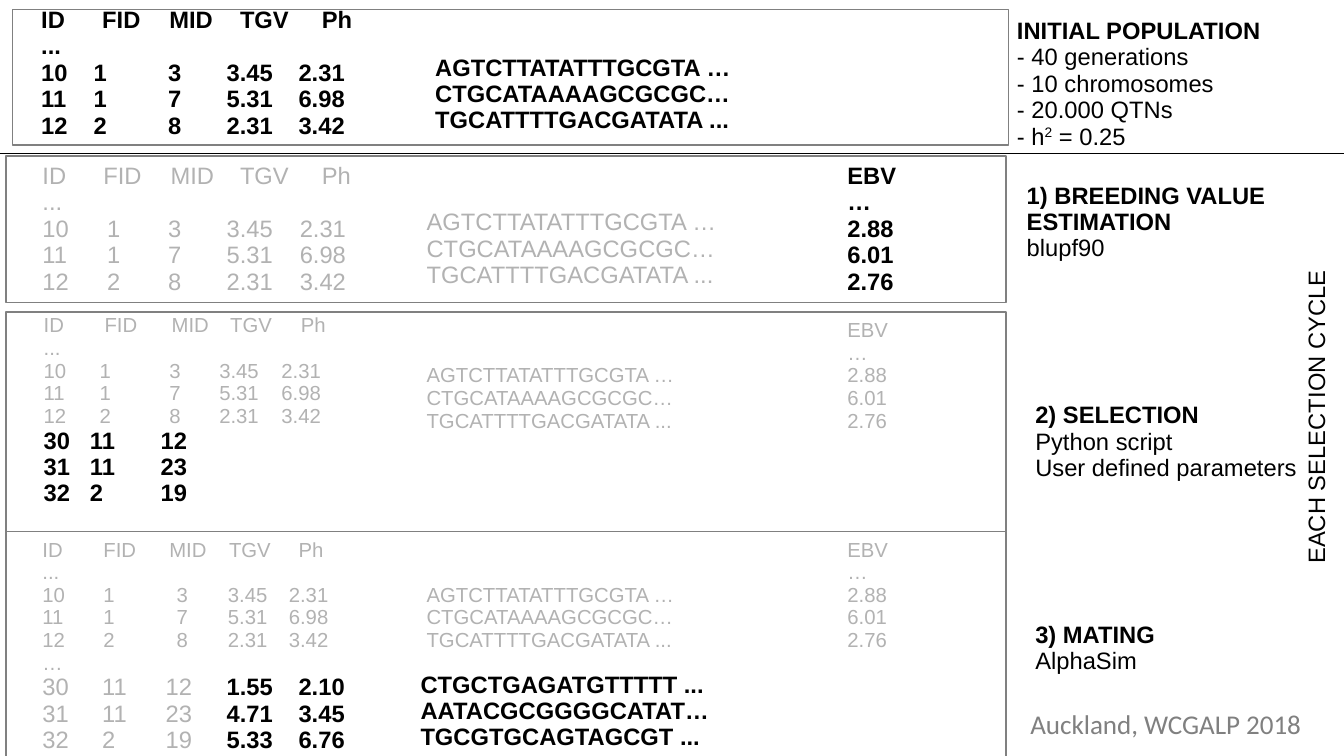
from pptx import Presentation
from pptx.dml.color import RGBColor
from pptx.enum.shapes import MSO_CONNECTOR as Connector, MSO_SHAPE as Shape
from pptx.enum.text import MSO_ANCHOR as Anchor, PP_ALIGN as Align
from pptx.oxml.xmlchemy import OxmlElement as Element
from pptx.util import Inches, Pt


def color(value):
    return RGBColor.from_string(value)


class Board:
    black, pale, gray = "000000", "B2B2B2", "808080"
    font = "Arial"
    spacing = 0.93

    def __init__(self, page):
        self.page = page

    def look(self, size=14, bold=False, ink=black, font=font):
        return {"size": Pt(size), "bold": bold, "name": font, "ink": ink}

    def line(self, text, look, stops=()):
        return [(text, look)], stops

    def lines(self, texts, look, stops=()):
        return [self.line(text, look, stops) for text in texts]

    def text(self, left, top, width, height, lines, inset=0.06, spacing=spacing):
        box = self.page.shapes.add_textbox(*map(Inches, (left, top, width, height)))
        layout = {"word_wrap": True, "margin_left": Inches(0.1), "margin_right": Inches(0.1),
                  "margin_top": Inches(inset), "margin_bottom": Inches(0.05)}
        for name, value in layout.items():
            setattr(box.text_frame, name, value)
        for index, (spans, stops) in enumerate(lines):
            para = box.text_frame.add_paragraph() if index else box.text_frame.paragraphs[0]
            para.line_spacing = spacing
            self.tabs(para, stops)
            for text, look in spans:
                self.span(para, text, look)
        return box

    def span(self, para, text, look):
        span = para.add_run()
        span.text = text
        for name, value in look.items():
            if name == "ink":
                span.font.color.rgb = color(value)
            elif name == "baseline":
                span.font._element.set("baseline", str(value))
            else:
                setattr(span.font, name, value)

    def tabs(self, para, stops):
        if stops:
            tab_list = Element("a:tabLst")
            for stop in stops:
                tab = Element("a:tab")
                tab.set("pos", str(Inches(stop)))
                tab.set("algn", "l")
                tab_list.append(tab)
            para._p.get_or_add_pPr().append(tab_list)

    def frame(self, left, top, width, height):
        frame = self.page.shapes.add_shape(Shape.RECTANGLE, *map(Inches, (left, top, width, height)))
        frame.shadow.inherit = False
        frame.fill.background()
        frame.line.color.rgb = color(self.gray)
        frame.line.width = Pt(0.75)

    def rule(self, top, width):
        rule = self.page.shapes.add_connector(
            Connector.STRAIGHT, *map(Inches, (0, top, width, top)))
        rule.line.color.rgb = color(self.black)
        rule.line.width = Pt(0.75)
        rule._element.spPr.append(Element("a:effectLst"))

    def pedigree(self, left, top, height, look, header_stops, body_stops, extra=()):
        header = self.lines(("ID\tFID\tMID\tTGV\tPh", "..."), look, header_stops)
        body = self.lines(FOUNDERS, look, body_stops)
        self.text(left, top, 3.7, height, [*header, *body, *extra])

    def sequences(self, left, top, texts, look):
        self.text(left, top, 3.2, 0.79, self.lines(texts, look))

    def values(self, top, look):
        self.text(6.85, top, 1, 1, self.lines(("EBV", "…", "2.88", "6.01", "2.76"), look))

    def step(self, left, top, title, details):
        lines = [self.line(title, self.look(bold=True)), *self.lines(details, self.look())]
        self.text(left, top, 2.62, 0.28, lines, 0.07)


FOUNDERS = ("10\t1\t3\t3.45\t2.31", "11\t1\t7\t5.31\t6.98", "12\t2\t8\t2.31\t3.42")
FOUNDER_DNA = ("AGTCTTATATTTGCGTA …", "CTGCATAAAAGCGCGC…", "TGCATTTTGACGATATA ...")
OFFSPRING_DNA = ("CTGCTGAGATGTTTTT ...", "AATACGCGGGGCATAT…", "TGCGTGCAGTAGCGT ...")
OFFSPRING = (("30\t11\t12", "1.55\t2.10"), ("31\t11\t23", "4.71\t3.45"), ("32\t2\t19", "5.33\t6.76"))


def main():
    deck = Presentation()
    deck.slide_width, deck.slide_height = Inches(11.02), Inches(6.2)
    board = Board(deck.slides.add_slide(deck.slide_layouts[6]))
    plain, strong = board.look(), board.look(bold=True)
    faded, small = board.look(ink=board.pale), board.look(12, ink=board.pale)

    footer = board.look(16, ink=board.gray, font="Calibri")
    board.text(8.35, 5.75, 2.6, 0.36, [board.line("Auckland, WCGALP 2018", footer)], 0.05, 1.0)

    board.pedigree(0.24, 0, 1.1, strong, (0.5, 1.05, 1.63, 2.3), (0.43, 1.04, 1.52, 2.11))
    board.sequences(3.47, 0.39, FOUNDER_DNA, strong)
    board.frame(0.1, 0.08, 8.17, 1.11)

    board.pedigree(0.25, 1.28, 1.19, faded, (0.5, 1.05, 1.62, 2.29), (0.53, 1.03, 1.51, 2.11))
    board.sequences(3.4, 1.66, FOUNDER_DNA, faded)
    board.frame(0.05, 1.28, 8.2, 1.2)
    board.values(1.28, strong)
    board.step(8.32, 1.43, "1) BREEDING VALUE ESTIMATION", ["blupf90"])

    selected = board.lines([parents for parents, _ in OFFSPRING], strong, (0.38, 0.96))
    board.pedigree(0.26, 2.52, 1.74, small, (0.5, 1.05, 1.53, 2.11), (0.46, 1.03, 1.44, 1.95), selected)
    board.sequences(3.4, 2.93, FOUNDER_DNA, small)
    board.frame(0.05, 2.56, 8.2, 1.8)
    board.values(2.56, small)
    board.step(8.39, 3.23, "2) SELECTION", ["Python script", "User defined parameters"])

    mated = [([(parents + "\t", faded), (traits, strong)], (0.49, 1.01, 1.51, 2.1))
             for parents, traits in OFFSPRING]
    board.pedigree(0.25, 4.36, 1.74, small, (0.5, 1.04, 1.53, 2.1), (0.5, 1.1, 1.52, 2.02),
                   [board.line("…", small), *mated])
    board.sequences(3.4, 4.73, FOUNDER_DNA, small)
    board.frame(0.05, 4.36, 8.2, 1.86)
    board.values(4.36, small)
    board.step(8.39, 5.03, "3) MATING", ["AlphaSim"])
    board.sequences(3.35, 5.45, OFFSPRING_DNA, strong)

    settings = board.lines(("- 40 generations", "- 10 chromosomes", "- 20.000 QTNs"), plain)
    heritability = [("- h", plain), ("2", {**plain, "baseline": 33000}), (" = 0.25", plain)]
    board.text(8.24, 0.08, 2.75, 1.1,
               [board.line("INITIAL POPULATION", strong), *settings, (heritability, ())], 0.07)
    board.rule(1.26, 11.02)

    cycle = board.text(9.45, 3.26, 2.7, 0.32, [board.line("EACH SELECTION CYCLE", plain)], 0.05)
    cycle.rotation = 270
    cycle.text_frame.vertical_anchor = Anchor.MIDDLE
    cycle.text_frame.paragraphs[0].alignment = Align.CENTER

    deck.save("out.pptx")


if __name__ == "__main__":
    main()
